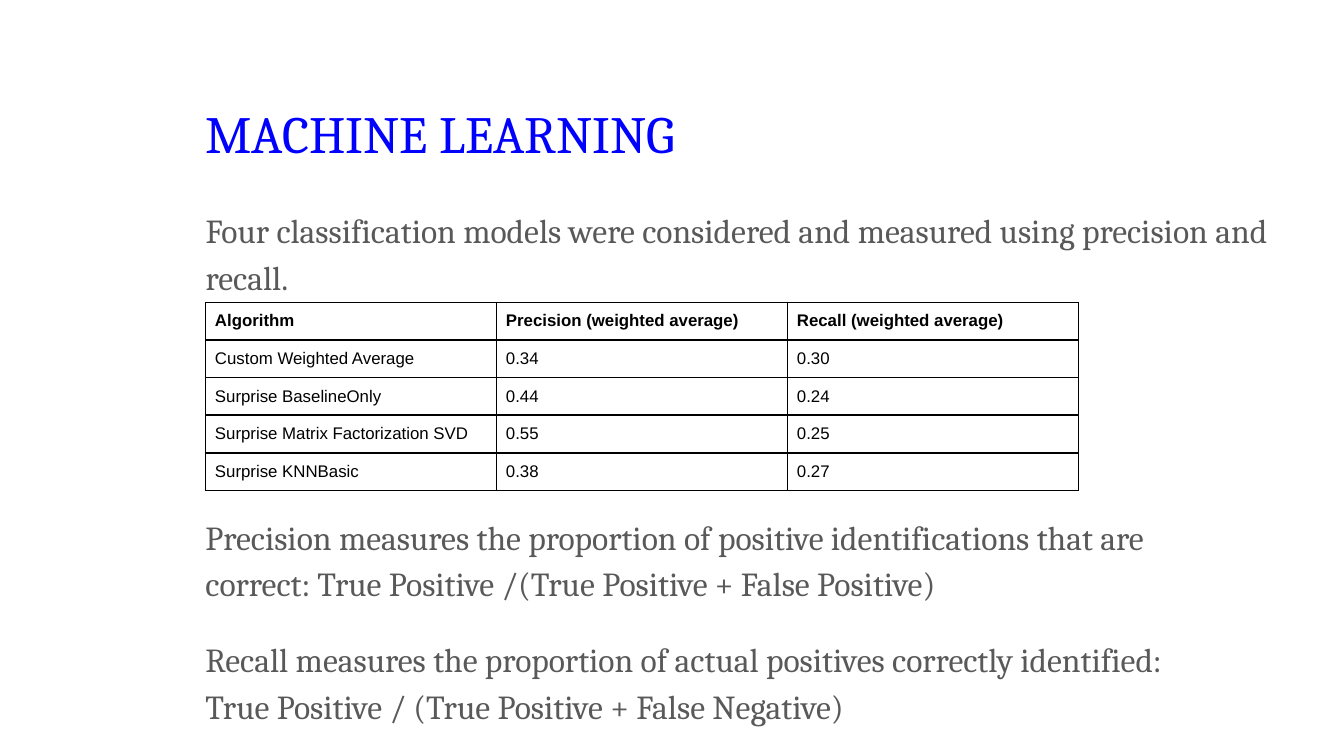
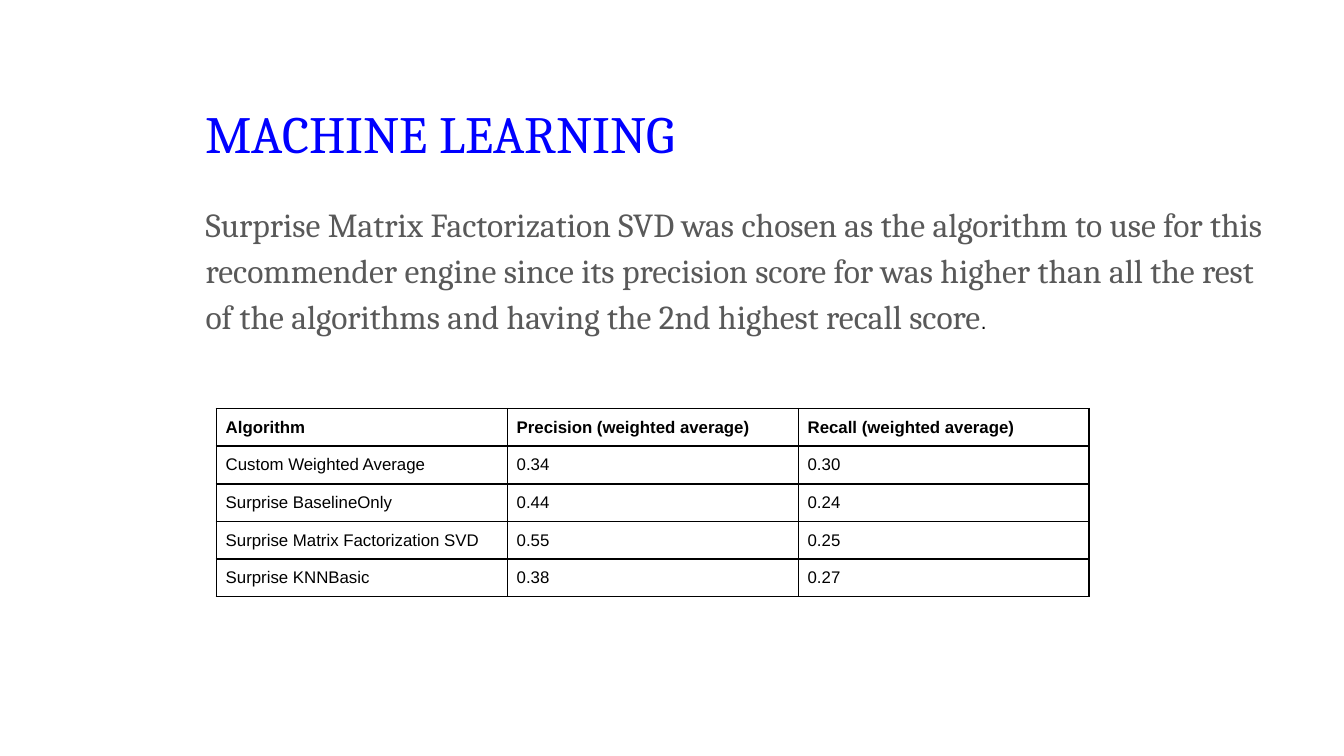
from lxml import etree
from pptx import Presentation
from pptx.dml.color import RGBColor
from pptx.enum.text import MSO_ANCHOR as Anchor, MSO_AUTO_SIZE as Fit, PP_ALIGN as Align
from pptx.oxml import parse_xml
from pptx.oxml.ns import nsdecls, qn
from pptx.util import Emu, Pt

PX = 4572  # 200 px to the inch
BLUE = RGBColor(0x00, 0x00, 0xFF)
GREY = RGBColor(0x59, 0x59, 0x59)
BLACK = RGBColor(0x00, 0x00, 0x00)

TITLE = "MACHINE LEARNING"
INTRO = "Four classification models were considered and measured using precision and recall."
NOTES = [
    "Precision measures the proportion of positive identifications that are correct: "
    "True Positive /(True Positive + False Positive)",
    "Recall measures the proportion of actual positives correctly identified: "
    "True Positive / (True Positive + False Negative)",
]
CHOICE = (
    "Surprise Matrix Factorization SVD was chosen as the algorithm to use for this "
    "recommender engine since its precision score for was higher than all the rest "
    "of the algorithms and having the 2nd highest recall score"
)
SCORES = [
    ("Algorithm", "Precision (weighted average)", "Recall (weighted average)"),
    ("Custom Weighted Average", "0.34", "0.30"),
    ("Surprise BaselineOnly", "0.44", "0.24"),
    ("Surprise Matrix Factorization SVD", "0.55", "0.25"),
    ("Surprise KNNBasic", "0.38", "0.27"),
]
LEFT, WIDE, INSET = 286, 1538, 20
COL, ROW, PAD = 433, 56, 14


def write(shape, box, texts, size, color, lines=1.0, gap=0):
    """Place a shape and fill it with plain, left-aligned paragraphs."""
    shape.left, shape.top, shape.width, shape.height = [Emu(n * PX) for n in box]
    frame = shape.text_frame
    frame.word_wrap = True
    frame.auto_size = Fit.NONE
    frame.vertical_anchor = Anchor.TOP
    frame.margin_left = frame.margin_right = Emu(INSET * PX)
    frame.margin_top = frame.margin_bottom = Emu(INSET * PX)
    frame.text = "\n".join(texts)
    for i, para in enumerate(frame.paragraphs):
        para.alignment = Align.LEFT
        para.line_spacing = lines
        para.space_before = para.space_after = Pt(gap if i else 0)
        para.font.name, para.font.size = "Cambria", Pt(size)
        para.font.color.rgb = color
        props = para._p.get_or_add_pPr()
        props.set("marL", "0")
        props.set("indent", "0")
        props.insert_element_before(
            etree.SubElement(props, qn("a:buNone")), "a:tabLst", "a:defRPr", "a:extLst")


def add_scores(slide, left, top):
    rows, cols = len(SCORES), len(SCORES[0])
    table = slide.shapes.add_table(
        rows, cols, left * PX, top * PX, cols * COL * PX, rows * ROW * PX).table
    table.first_row = table.horz_banding = False
    for r, values in enumerate(SCORES):
        for c, value in enumerate(values):
            cell = table.cell(r, c)
            cell.text = value
            cell.margin_left = cell.margin_right = Emu(PAD * PX)
            cell.margin_top = cell.margin_bottom = Emu(PAD * PX)
            font = cell.text_frame.paragraphs[0].font
            font.name, font.size, font.bold = "Arial", Pt(9), r == 0
            font.color.rgb = BLACK
            props = cell._tc.get_or_add_tcPr()
            for side in "LRTB":
                props.append(parse_xml(
                    f'<a:ln{side} {nsdecls("a")} w="{Pt(1)}"><a:solidFill>'
                    f'<a:srgbClr val="{BLACK}"/></a:solidFill></a:ln{side}>'))
            cell.fill.background()


prs = Presentation()
prs.slide_width, prs.slide_height = Emu(2000 * PX), Emu(1125 * PX)

pages = [
    (INTRO, 284, 158, (306, 450)),
    (CHOICE, 274, 304, (322, 608)),
]
for text, top, height, spot in pages:
    slide = prs.slides.add_slide(prs.slide_layouts[1])
    write(slide.shapes.title, (LEFT, 130, WIDE, 128), [TITLE], 28, BLUE)
    body = slide.placeholders[1]
    write(body, (LEFT, top, 1638, height), [text], 18, GREY, 1.15)
    add_scores(slide, *spot)

# Definitions below the table of the first slide
notes = prs.slides[0].shapes.add_textbox(0, 0, 0, 0)
write(notes, (LEFT, 740, WIDE, 354), NOTES, 18, GREY, 1.15, 16)

# The closing stop of the second slide has its own font
stop = body.text_frame.paragraphs[0].add_run()
stop.text = "."
stop.font.name, stop.font.size = "Arial", Pt(11)
stop.font.color.rgb = BLACK

prs.save("out.pptx")
